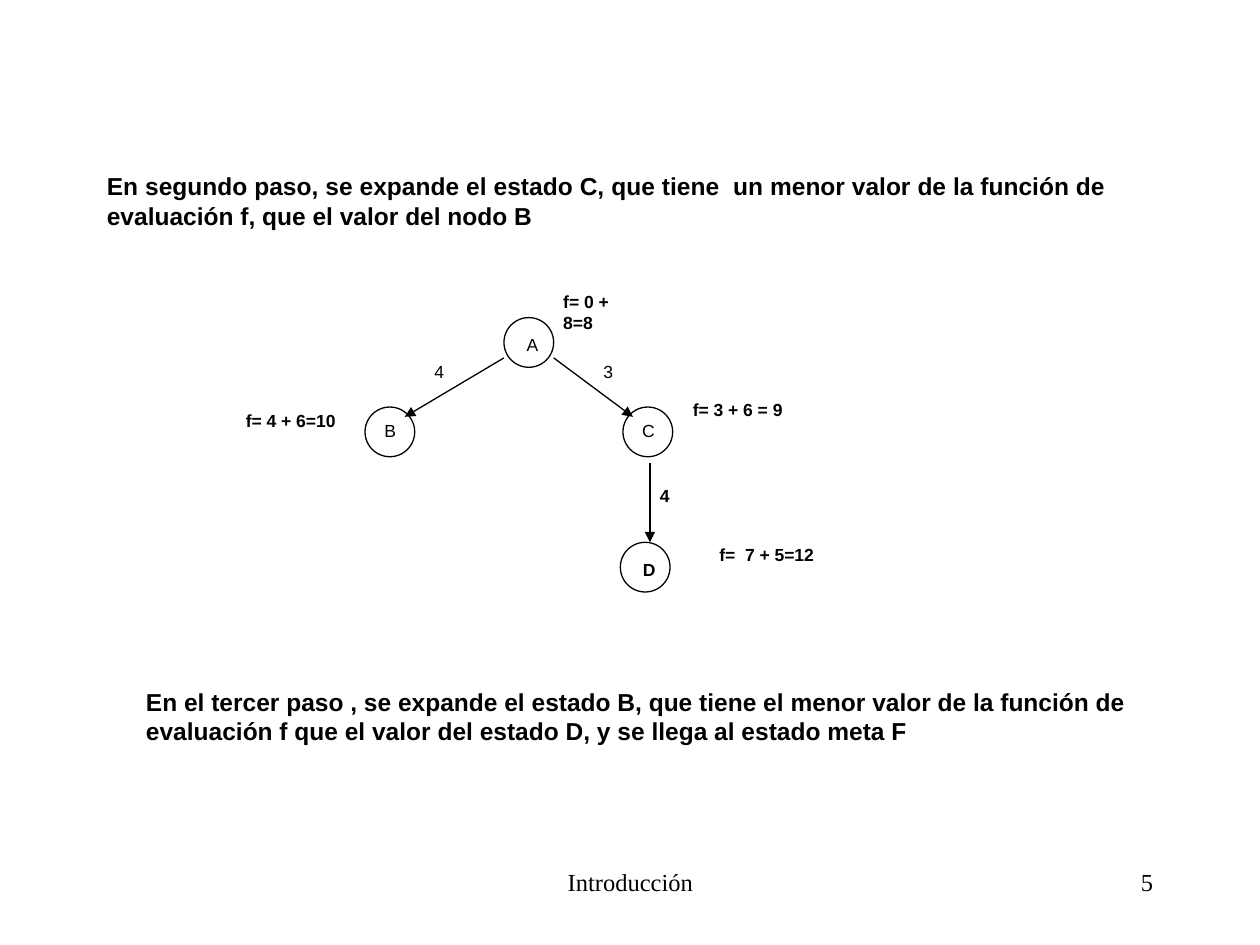
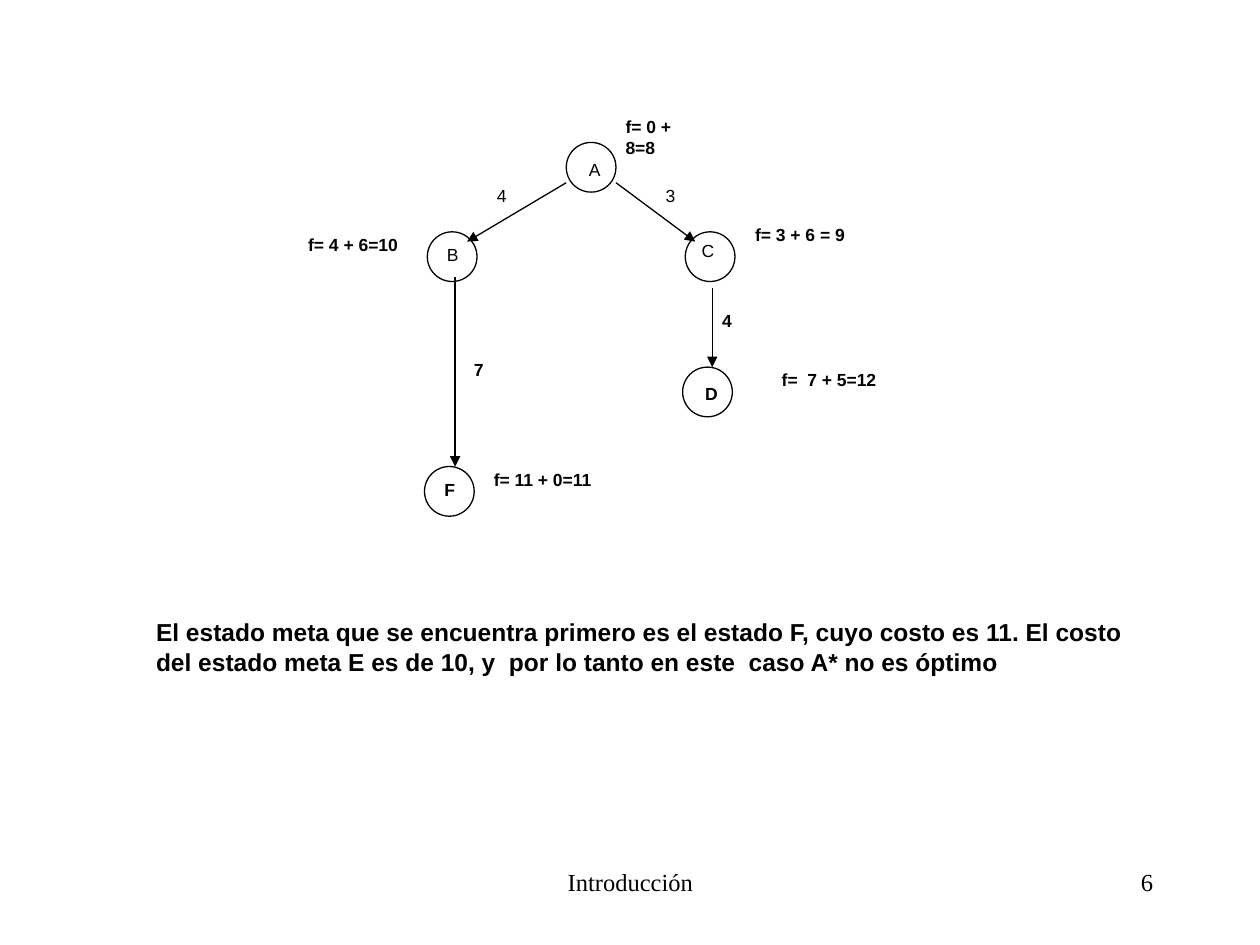
from dataclasses import dataclass

from lxml import etree
from pptx import Presentation
from pptx.dml.color import RGBColor
from pptx.enum.shapes import MSO_CONNECTOR, MSO_SHAPE
from pptx.enum.text import MSO_AUTO_SIZE, PP_ALIGN
from pptx.oxml.ns import qn
from pptx.util import Pt

LEFT, CENTER, RIGHT, JUSTIFY = PP_ALIGN.LEFT, PP_ALIGN.CENTER, PP_ALIGN.RIGHT, PP_ALIGN.JUSTIFY
OVAL, STRAIGHT = MSO_SHAPE.OVAL, MSO_CONNECTOR.STRAIGHT
GROW, FIXED = MSO_AUTO_SIZE.SHAPE_TO_FIT_TEXT, MSO_AUTO_SIZE.NONE


@dataclass(frozen=True)
class Theme:
    ink: RGBColor = RGBColor(0, 0, 0)
    body_font: str = "Arial"
    footer_font: str = "Times New Roman"
    body_size: float = 14
    label_size: float = 10
    line_width: float = 0.75
    node_size: float = 28.4
    label_height: float = 19.4
    letter_width: float = 21
    weight_width: float = 19.4


THEME = Theme()

# Tree positions are relative to the top left of node A.
# name: (node position, letter offset inside the node, bold letter)
NODES = {
    "A": ((0, 0), (5.8, 5.8), False),
    "B": ((-79.4, 51.1), (4, 3.6), False),
    "C": ((68, 51.1), (3.8, 3.6), False),
    "D": ((66.5, 128.4), (5.8, 5.8), True),
    "F": ((-81, 185.2), (4.3, 3.6), True),
}
# nodes: (start, end, weight, weight position, bold weight)
EDGES = {
    "AB": ((0, 23), (-56.7, 56.7), "4", (-46.8, 21), False),
    "AC": ((28.4, 23), (73.7, 56.7), "3", (49.7, 21), False),
    "CD": ((83.4, 83), (83.4, 128.4), "4", (82, 92.2), True),
    "BF": ((-63.5, 77), (-63.5, 185.2), "7", (-59.8, 120.2), True),
}
# node: (value of f, position, width)
COSTS = {
    "A": ("f= 0 + 8=8", (26.8, -18.7), 59.8),
    "B": ("f= 4 + 6=10", (-154.6, 49), 65.5),
    "C": ("f= 3 + 6 = 9", (100.8, 43.2), 65.5),
    "D": ("f=  7 + 5=12", (116, 126), 68.4),
    "F": ("f= 11 + 0=11", (-48.5, 182.9), 71.3),
}

SLIDES = [
    {
        "number": "5",
        "origin": (288, 181.5),
        "nodes": "ABCD",
        "letter_shift": {},
        "texts": [
            ("En segundo paso, se expande el estado C, que tiene  un menor valor de la "
             "función de evaluación f, que el valor del nodo B",
             (54, 94.3, 585.4, 41), JUSTIFY),
            ("En el tercer paso , se expande el estado B, que tiene el menor valor de la "
             "función de evaluación f que el valor del estado D, y se llega al estado meta F",
             (76.3, 388.8, 596.9, 41), LEFT),
        ],
    },
    {
        "number": "6",
        "origin": (323.6, 81.4),
        "nodes": "ABCDF",
        "letter_shift": {"C": (-1.6, -2.5)},
        "texts": [
            ("El estado meta que se encuentra primero es el estado F, cuyo costo es 11. "
             "El costo del estado meta E es de 10, y  por lo tanto en este  caso A* no es óptimo",
             (82.1, 349.2, 568.8, 41), LEFT),
        ],
    },
]
FOOTER = ("Introducción", (246.2, 491.8, 228.2, 36), CENTER)
NUMBER_BOX = (516.2, 491.8, 149.8, 36)


def shift(*points):
    return tuple(map(sum, zip(*points)))


def add_text(s, text, box, align=LEFT, wrap=True, auto_size=GROW, **fmt):
    tf = s.shapes.add_textbox(*map(Pt, box)).text_frame
    tf.word_wrap, tf.auto_size = wrap, auto_size
    p = tf.paragraphs[0]
    p.alignment = align
    r = p.add_run()
    r.text = text
    r.font.color.rgb = THEME.ink
    defaults = {"name": THEME.body_font, "size": Pt(THEME.body_size), "bold": False}
    for key, value in (defaults | fmt).items():
        setattr(r.font, key, value)


def add_label(s, text, position, width, bold):
    add_text(s, text, (*position, width, THEME.label_height), wrap=False,
             size=Pt(THEME.label_size), bold=bold)


def set_line(shape):
    shape.line.color.rgb = THEME.ink
    shape.line.width = Pt(THEME.line_width)


def add_node(s, position):
    node = s.shapes.add_shape(OVAL, *map(Pt, (*position, THEME.node_size, THEME.node_size)))
    node.shadow.inherit = False
    node.fill.background()
    set_line(node)


def add_arrow(s, start, end):
    arrow = s.shapes.add_connector(STRAIGHT, *map(Pt, (*start, *end)))
    set_line(arrow)
    etree.SubElement(arrow.line._get_or_add_ln(), qn("a:tailEnd"), type="triangle")
    etree.SubElement(arrow._element.spPr, qn("a:effectLst"))


def add_tree(s, origin, names, letter_shift):
    for name in names:
        position, offset, bold = NODES[name]
        position = shift(origin, position)
        add_node(s, position)
        letter_at = shift(position, offset, letter_shift.get(name, (0, 0)))
        add_label(s, name, letter_at, THEME.letter_width, bold)
        cost, cost_at, width = COSTS[name]
        add_label(s, cost, shift(origin, cost_at), width, True)
    for ends, (start, end, weight, weight_at, bold) in EDGES.items():
        if set(ends) <= set(names):
            add_arrow(s, shift(origin, start), shift(origin, end))
            add_label(s, weight, shift(origin, weight_at), THEME.weight_width, bold)


def add_footer(s, number):
    for text, box, align in (FOOTER, (number, NUMBER_BOX, RIGHT)):
        add_text(s, text, box, align, auto_size=FIXED, name=THEME.footer_font)


def main():
    prs = Presentation()
    prs.slide_width, prs.slide_height = Pt(720), Pt(540)
    for content in SLIDES:
        s = prs.slides.add_slide(prs.slide_layouts[6])
        add_footer(s, content["number"])
        add_tree(s, content["origin"], content["nodes"], content["letter_shift"])
        for text, box, align in content["texts"]:
            add_text(s, text, box, align, bold=True)
    prs.save("out.pptx")


if __name__ == "__main__":
    main()
